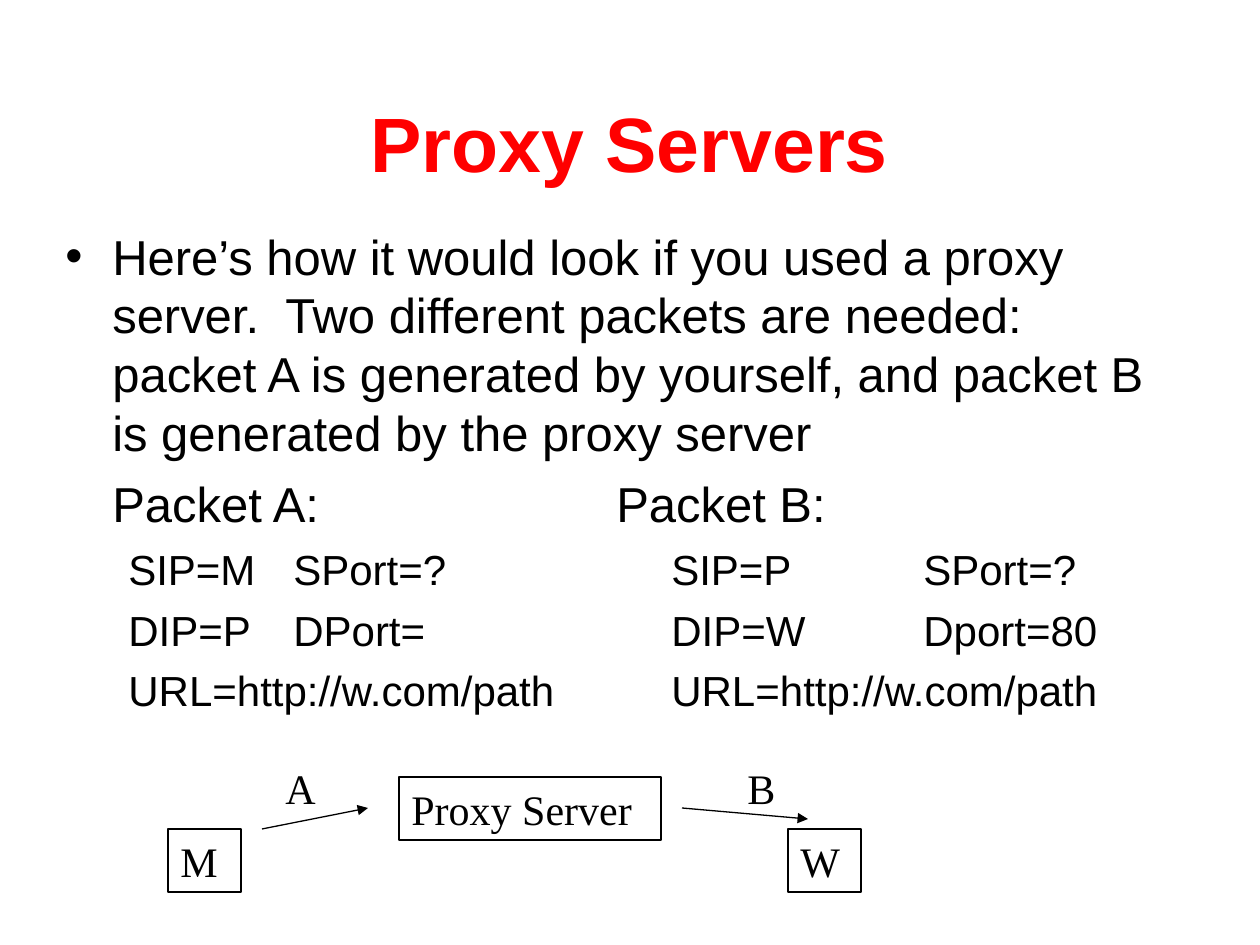
"""Builds the slide on proxy servers and the two packets they need."""
from dataclasses import dataclass

from lxml import etree
from pptx import Presentation
from pptx import util as u
from pptx.dml.color import RGBColor
from pptx.enum import shapes, text
from pptx.oxml.ns import qn

EMU_PER_PX = 914400 / 126
BLACK, RED = "000000", "FF0000"
SANS, SERIF = "Arial", "Times New Roman"


@dataclass(frozen=True)
class Area:
    left: int
    top: int
    width: int
    height: int


@dataclass(frozen=True)
class Label:
    words: str
    area: Area
    outlined: bool = False


@dataclass(frozen=True)
class Arrow:
    start: tuple[int, int]
    end: tuple[int, int]


@dataclass(frozen=True)
class Level:
    size: int
    margin: int
    indent: int
    before: int


TOP = Level(28, 47, -47, 7)
SUB = Level(24, 102, -39, 6)
TAB_STEP = 126

TITLE = Area(94, 74, 1071, 136)
BODY = Area(53, 220, 1134, 567)
LINES = [
    ("Here’s how it would look if you used a proxy server.  Two different packets "
     "are needed: packet A is generated by yourself, and packet B is generated by "
     "the proxy server", TOP, "•"),
    ("\tPacket A:\t\t\tPacket B:", TOP, ""),
    ("SIP=M\tSPort=?\t\tSIP=P\t\tSPort=?", SUB, ""),
    ("DIP=P\tDPort=\t\tDIP=W\tDport=80", SUB, ""),
    ("URL=http://w.com/path\tURL=http://w.com/path", SUB, ""),
]
LABELS = [
    Label("M", Area(168, 829, 73, 63), True),
    Label("W", Area(788, 829, 73, 63), True),
    Label("Proxy Server", Area(399, 777, 262, 63), True),
    Label("A", Area(273, 756, 105, 63)),
    Label("B", Area(735, 756, 116, 63)),
]
ARROWS = [Arrow((262, 829), (368, 808)), Arrow((682, 808), (808, 819))]


def px(length: int) -> int:
    """Turn pixels into EMU."""
    return round(length * EMU_PER_PX)


def place(area: Area) -> tuple[int, ...]:
    """Give an area as EMU for the add methods."""
    return tuple(px(n) for n in (area.left, area.top, area.width, area.height))


def colour(value: str) -> RGBColor:
    """Read a hex colour."""
    return RGBColor.from_string(value)


def apply(target, values: dict) -> None:
    """Set every attribute named in a dict of format values."""
    for name, value in values.items():
        setattr(target, name, value)


def write(para, words: str, size: int, font: str, tint: str = BLACK, bold: bool = False) -> None:
    """Add one formatted span to a paragraph."""
    span = para.add_run()
    span.text = words
    apply(span.font, {"size": u.Pt(size), "name": font, "bold": bold})
    span.font.color.rgb = colour(tint)


def set_list_format(para, level: Level, bullet: str) -> None:
    """Set the hanging indent, the tab step and the bullet."""
    props = para._p.get_or_add_pPr()
    lengths = {"marL": level.margin, "indent": level.indent, "defTabSz": TAB_STEP}
    for name, length in lengths.items():
        props.set(name, str(px(length)))
    if bullet:
        etree.SubElement(props, qn("a:buFont"), typeface=SANS)
        etree.SubElement(props, qn("a:buChar"), char=bullet)
    else:
        etree.SubElement(props, qn("a:buNone"))


def draw_title(page, words: str) -> None:
    """Draw the centred red title."""
    frame = page.shapes.add_textbox(*place(TITLE)).text_frame
    apply(frame, {"word_wrap": True, "vertical_anchor": text.MSO_ANCHOR.MIDDLE})
    para = frame.paragraphs[0]
    para.alignment = text.PP_ALIGN.CENTER
    write(para, words, 44, SANS, RED, True)


def draw_body(page) -> None:
    """Draw the explanation and the two packets."""
    frame = page.shapes.add_textbox(*place(BODY)).text_frame
    frame.word_wrap = True
    for index, (words, level, bullet) in enumerate(LINES):
        para = frame.add_paragraph() if index else frame.paragraphs[0]
        apply(para, {"space_before": u.Pt(level.before), "level": int(level is SUB)})
        set_list_format(para, level, bullet)
        write(para, words, level.size, SANS)


def draw_label(page, label: Label) -> None:
    """Draw a diagram label, in a box if it is outlined."""
    if label.outlined:
        box = page.shapes.add_shape(shapes.MSO_SHAPE.RECTANGLE, *place(label.area))
        box.shadow.inherit = False
        box.fill.background()
        box.line.color.rgb = colour(BLACK)
        box.line.width = u.Pt(0.75)
    else:
        box = page.shapes.add_textbox(*place(label.area))
    apply(box.text_frame, {"word_wrap": True, "vertical_anchor": text.MSO_ANCHOR.TOP})
    para = box.text_frame.paragraphs[0]
    para.alignment = text.PP_ALIGN.LEFT
    write(para, label.words, 24, SERIF)


def draw_arrow(page, arrow: Arrow) -> None:
    """Draw a thin line with a triangle at its end."""
    points = [px(n) for n in (*arrow.start, *arrow.end)]
    line = page.shapes.add_connector(shapes.MSO_CONNECTOR.STRAIGHT, *points)
    line.line.color.rgb = colour(BLACK)
    line.line.width = u.Pt(0.75)
    etree.SubElement(line.line._get_or_add_ln(), qn("a:tailEnd"), type="triangle")
    etree.SubElement(line._element.spPr, qn("a:effectLst"))


def main() -> None:
    """Build and save the deck."""
    deck = Presentation()
    apply(deck, {"slide_width": px(1260), "slide_height": px(945)})
    page = deck.slides.add_slide(deck.slide_layouts[6])
    draw_title(page, "Proxy Servers")
    draw_body(page)
    for label in LABELS:
        draw_label(page, label)
    for arrow in ARROWS:
        draw_arrow(page, arrow)
    deck.save("out.pptx")


if __name__ == "__main__":
    main()
